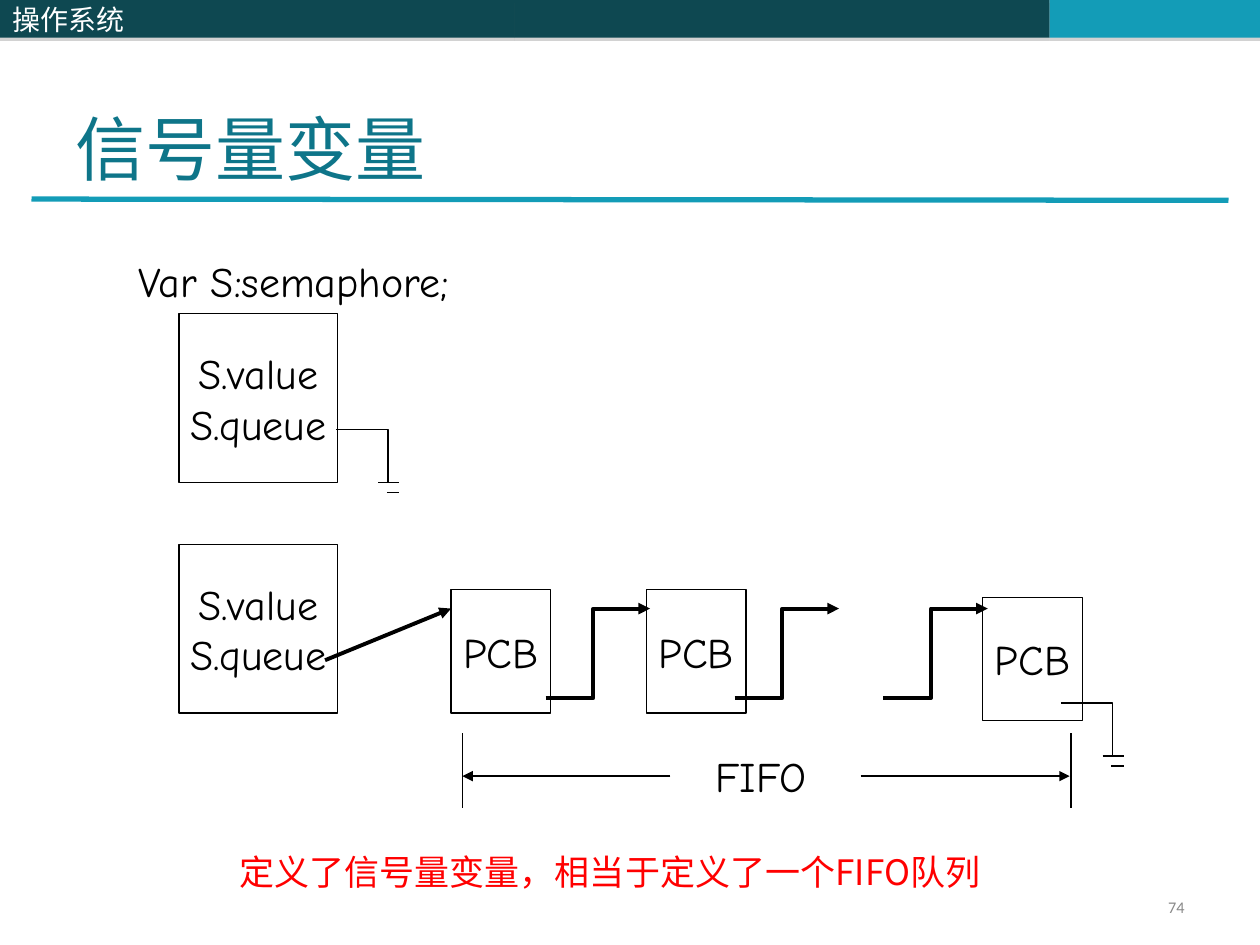
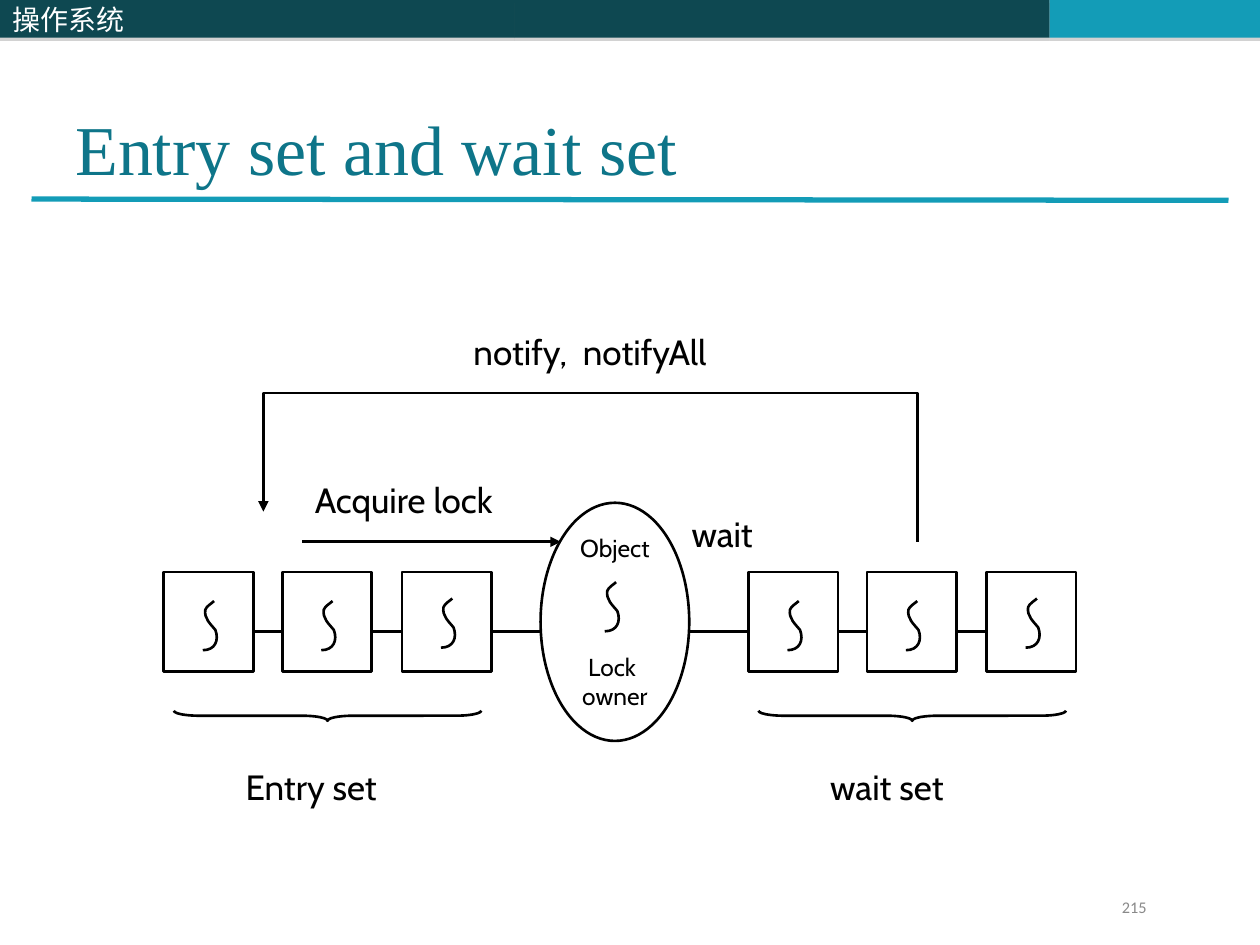
from lxml import etree
from pptx import Presentation
from pptx.dml.color import RGBColor
from pptx.enum.shapes import MSO_CONNECTOR, MSO_SHAPE
from pptx.enum.text import MSO_ANCHOR, PP_ALIGN
from pptx.oxml.ns import qn
from pptx.util import Inches, Pt

DARK_TEAL = RGBColor(0x0E, 0x48, 0x51)
BRIGHT_TEAL = RGBColor(0x13, 0x9C, 0xB7)
TITLE_TEAL = RGBColor(0x0E, 0x75, 0x89)
SHADOW_GREY = RGBColor(0x80, 0x80, 0x80)
NUMBER_GREY = RGBColor(0x89, 0x89, 0x89)
BLACK = RGBColor(0, 0, 0)
WHITE = RGBColor(0xFF, 0xFF, 0xFF)
RED = RGBColor(0xFF, 0, 0)

CJK_FONT = "Noto Sans CJK SC"
TITLE_FONT = "Times New Roman"
NUMBER_FONT = "Calibri"
COMIC_FONT = "Comic Neue"
CABIN_FONT = "Cabin"

RECTANGLE, ELLIPSE, BRACE = MSO_SHAPE.RECTANGLE, MSO_SHAPE.OVAL, MSO_SHAPE.LEFT_BRACE
STRAIGHT = MSO_CONNECTOR.STRAIGHT
LEFT, CENTER, RIGHT = PP_ALIGN.LEFT, PP_ALIGN.CENTER, PP_ALIGN.RIGHT
TOP, MIDDLE, BOTTOM = MSO_ANCHOR.TOP, MSO_ANCHOR.MIDDLE, MSO_ANCHOR.BOTTOM

THIN, MEDIUM, THICK = 0.75, 1.5, 2.25

# Thread squiggle: start point, then cubic segments, from its top left corner
SQUIGGLE_START = (0.09, 0)
SQUIGGLE_CURVES = [
    ((0.07, 0.02), (0.03, 0.04), (0.02, 0.07)),
    ((0.01, 0.14), (0.06, 0.18), (0.1, 0.23)),
    ((0.13, 0.31), (0.1, 0.39), (0, 0.39)),
]
# Left and top of each squiggle's box and the drop of the squiggle in it
THREAD_PLACES = [(0, 0.23), (0.94, 0.23), (1.89, 0.21)]
THREAD_WIDTH = 0.71


def write(shape, lines, font, size, color, align=LEFT, anchor=TOP, wrap=True):
    frame = shape.text_frame
    frame.word_wrap = wrap
    frame.vertical_anchor = anchor
    for index, line in enumerate(lines):
        paragraph = frame.paragraphs[0] if index == 0 else frame.add_paragraph()
        paragraph.alignment = align
        run = paragraph.add_run()
        run.text = line
        run.font.name = font
        run.font.size = Pt(size)
        run.font.color.rgb = color
        east_asian = etree.SubElement(run._r.get_or_add_rPr(), qn("a:ea"))
        east_asian.set("typeface", CJK_FONT)
    return frame


def add_label(slide, box, text, font, size, color=BLACK, align=LEFT, anchor=TOP):
    label = slide.shapes.add_textbox(*map(Inches, box))
    return write(label, [text], font, size, color, align, anchor)


def add_box(slide, box, kind=RECTANGLE, fill=None, weight=None):
    shape = slide.shapes.add_shape(kind, *map(Inches, box))
    shape.shadow.inherit = False
    if fill is None:
        shape.fill.background()
    else:
        shape.fill.solid()
        shape.fill.fore_color.rgb = fill
    if weight is None:
        shape.line.fill.background()
    else:
        style_line(shape.line, weight)
    return shape


def style_line(line, weight, color=BLACK, arrow=False):
    line.color.rgb = color
    line.width = Pt(weight)
    if arrow:
        etree.SubElement(line._get_or_add_ln(), qn("a:tailEnd")).set("type", "triangle")


def add_line(slide, start, end, weight, color=BLACK, arrow=False):
    line = slide.shapes.add_connector(STRAIGHT, *map(Inches, start + end))
    style_line(line.line, weight, color, arrow)
    etree.SubElement(line._element.spPr, qn("a:effectLst"))


def add_path(slide, points, weight, arrow=False):
    """Open line through the points, given in inches."""
    corners = [(Inches(x), Inches(y)) for x, y in points]
    builder = slide.shapes.build_freeform(*corners[0], scale=1.0)
    builder.add_line_segments(corners[1:], close=False)
    outline = builder.convert_to_shape()
    outline.shadow.inherit = False
    outline.fill.background()
    style_line(outline.line, weight, arrow=arrow)
    return outline


def add_band(slide, left, width, fill):
    band = add_box(slide, (left, 0, width, 0.3), fill=fill)
    effects = band._element.spPr.find(qn("a:effectLst"))
    shadow = etree.SubElement(effects, qn("a:outerShdw"), dist=str(Pt(1.8)),
                              dir="5400000", rotWithShape="0")
    grey = etree.SubElement(shadow, qn("a:srgbClr"), val=str(SHADOW_GREY))
    etree.SubElement(grey, qn("a:alpha"), val="35000")
    return band


def new_slide(deck, title):
    """Slide with the course bands, rule and title."""
    slide = deck.slides.add_slide(deck.slide_layouts[6])
    add_band(slide, 4.08, 4.25, DARK_TEAL)
    add_band(slide, 8.33, 1.67, BRIGHT_TEAL)
    add_line(slide, (0.25, 1.58), (9.75, 1.59), 3, BRIGHT_TEAL)
    course = add_band(slide, 0, 4.08, DARK_TEAL)
    write(course, ["操作系统"], CJK_FONT, 16, WHITE, anchor=MIDDLE)
    add_label(slide, (0.5, 0.3, 9, 1.25), title, TITLE_FONT, 40, TITLE_TEAL,
              anchor=BOTTOM)
    return slide


def add_page_number(slide, left, top, number, anchor, right_inset):
    frame = add_label(slide, (left, top, 2.33, 0.27), number, NUMBER_FONT, 9.3,
                      NUMBER_GREY, RIGHT, anchor)
    frame.margin_right = Inches(right_inset)
    frame.paragraphs[0].line_spacing = 0.8


def add_record(slide, box, lines):
    record = add_box(slide, box, weight=THIN)
    write(record, lines, COMIC_FONT, 24, BLACK, CENTER, MIDDLE, wrap=False)


def add_null_pointer(slide, x, y):
    """Wire that ends in a ground sign."""
    add_path(slide, [(x, y), (x + 0.41, y), (x + 0.41, y + 0.42)], THIN)
    add_line(slide, (x + 0.33, y + 0.42), (x + 0.5, y + 0.42), THIN)
    add_line(slide, (x + 0.4, y + 0.5), (x + 0.5, y + 0.5), THIN)


def add_next_pointer(slide, x, y):
    bend, rise = x + 0.38, y - 0.71
    add_path(slide, [(x, y), (bend, y), (bend, rise), (x + 0.83, rise)], THICK, arrow=True)


def add_fifo_span(slide, left, right, top):
    middle = top + 0.34
    for x in (left, right):
        add_line(slide, (x, top), (x, top + 0.59), THIN)
    add_line(slide, (right - 1.67, middle), (right - 0.01, middle), THIN, arrow=True)
    add_line(slide, (left + 1.65, middle), (left, middle), THIN, arrow=True)
    add_label(slide, (left + 1.91, top + 0.09, 1.17, 0.5), "FIFO", COMIC_FONT, 24)


def semaphore_slide(deck):
    slide = new_slide(deck, "信号量变量")
    add_page_number(slide, 7.17, 7.08, "74", MIDDLE, 0.1)
    add_label(slide, (1, 1.98, 7.08, 0.5), "Var S:semaphore;", COMIC_FONT, 24)
    for top in (2.49, 4.32):
        add_record(slide, (1.42, top, 1.26, 1.34), ["S.value", "S.queue"])
    for left, top in ((3.58, 4.68), (5.13, 4.68), (7.8, 4.74)):
        add_record(slide, (left, top, 0.79, 0.98), ["PCB"])
    for x in (4.33, 5.83, 7.01):
        add_next_pointer(slide, x, 5.54)
    add_line(slide, (2.58, 5.24), (3.58, 4.83), THICK, arrow=True)
    add_null_pointer(slide, 2.67, 3.41)
    add_null_pointer(slide, 8.42, 5.58)
    add_fifo_span(slide, 3.67, 8.5, 5.82)
    summary = add_label(slide, (1.3, 6.7, 7.95, 0.44),
                        "定义了信号量变量，相当于定义了一个FIFO队列", CJK_FONT, 20, RED)
    summary.margin_left = Inches(0.6)


def add_thread(slide, left, top):
    """Squiggle that stands for a thread."""
    anchors = [SQUIGGLE_START] + [curve[-1] for curve in SQUIGGLE_CURVES]
    thread = add_path(slide, [(left + x, top + y) for x, y in anchors], MEDIUM)
    segments = list(thread._element.iter(qn("a:lnTo")))
    for segment, curve in zip(segments, SQUIGGLE_CURVES):
        bend = etree.Element(qn("a:cubicBezTo"))
        for x, y in curve:
            etree.SubElement(bend, qn("a:pt"), x=str(Inches(x)), y=str(Inches(y)))
        segment.getparent().replace(segment, bend)


def add_thread_set(slide, left, top, name):
    """Three linked threads over a brace and a label."""
    link_y = top + 0.47
    for offset, drop in THREAD_PLACES:
        x = left + offset
        add_box(slide, (x, top, THREAD_WIDTH, 0.79), fill=WHITE, weight=MEDIUM)
        add_thread(slide, x + 0.31, top + drop)
    for (before, _), (after, _) in zip(THREAD_PLACES, THREAD_PLACES[1:]):
        add_line(slide, (left + before + THREAD_WIDTH, link_y), (left + after, link_y),
                 MEDIUM)
    brace = add_box(slide, (left + 1.26, top - 0.08, 0.08, 2.44), BRACE, weight=MEDIUM)
    brace.rotation = 270
    brace.adjustments[0] = 2.5
    add_label(slide, (left + 0.55, top + 1.49, 1.49, 0.44), name, CABIN_FONT, 20)


def add_lock_owner(slide, left, top):
    owner = add_box(slide, (left, top, 1.18, 1.89), ELLIPSE, WHITE, MEDIUM)
    frame = write(owner, ["Object", "Lock ", "owner"], CABIN_FONT, 14, BLACK,
                  CENTER, MIDDLE, wrap=False)
    frame.paragraphs[1].space_before = Pt(51)
    add_thread(slide, left + 0.51, top + 0.63)


def wait_set_slide(deck):
    slide = new_slide(deck, "Entry set and wait set")
    add_lock_owner(slide, 4.29, 3.99)
    add_thread_set(slide, 1.3, 4.54, "Entry set")
    add_thread_set(slide, 5.94, 4.54, "wait set")
    for start, end in ((3.9, 4.29), (5.47, 5.94)):
        add_line(slide, (start, 5.01), (end, 5.01), MEDIUM)
    add_line(slide, (2.4, 4.3), (4.45, 4.3), MEDIUM, arrow=True)
    add_path(slide, [(7.28, 4.3), (7.28, 3.12), (2.09, 3.12), (2.09, 4.06)],
             MEDIUM, arrow=True)
    for box, action in (((5.39, 4.02, 0.87, 0.44), "wait"),
                        ((2.4, 3.75, 2.2, 0.44), "Acquire lock"),
                        ((3.66, 2.57, 2.6, 0.44), "notify,  notifyAll")):
        add_label(slide, box, action, CABIN_FONT, 20)
    add_page_number(slide, 7.5, 7.1, "215", TOP, 0.73)


def main():
    deck = Presentation()
    deck.slide_width, deck.slide_height = Inches(10), Inches(7.5)
    semaphore_slide(deck)
    wait_set_slide(deck)
    deck.save("out.pptx")


if __name__ == "__main__":
    main()
